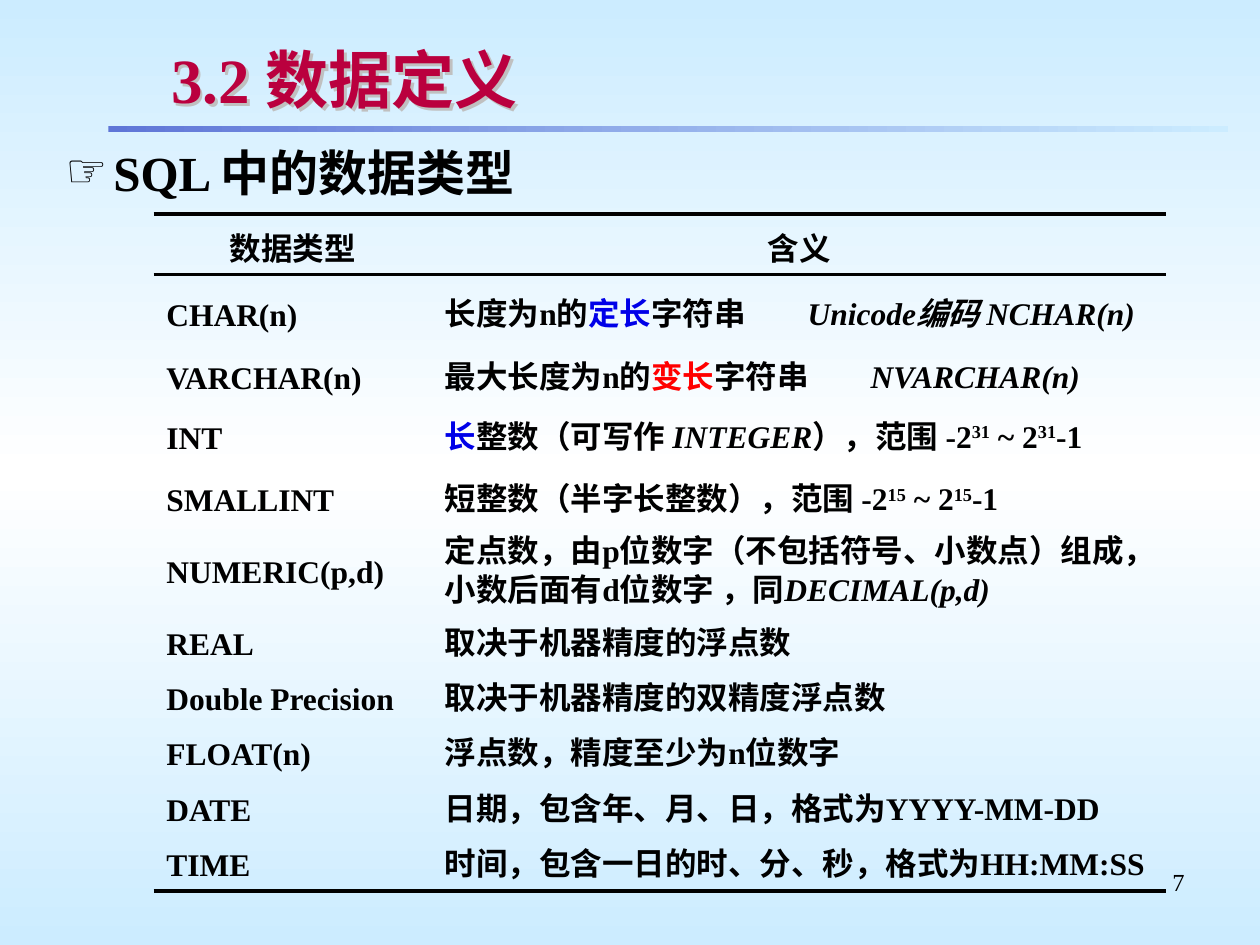
from copy import deepcopy
from lxml import etree
from pptx import Presentation
from pptx import util as u
from pptx.dml.color import RGBColor
from pptx.enum import shapes, text
from pptx.oxml.ns import qn

FONT = "Times New Roman"
HUES = {"ink": "000000", "title": "BA003E", "blue": "0000E8", "red": "FF0000",
        "sky": "CCECFF", "white": "FFFFFF", "rule": "5F76D7", "shade": "C0C0C0"}


def style(para, size, hue="ink", bold=True):
    font = para.font
    font.name, font.size, font.bold = FONT, u.Pt(size), bold
    font.color.rgb = RGBColor.from_string(HUES[hue])


def shade(fill, root, hues, angle):
    fill.gradient()
    fill.gradient_angle = angle
    stops = root.find(".//" + qn("a:gsLst"))
    while len(stops) < len(hues):
        stops.append(deepcopy(stops[0]))
    for i, (stop, hue) in enumerate(zip(fill.gradient_stops, hues)):
        stop.position = i / (len(hues) - 1)
        stop.color.rgb = RGBColor.from_string(HUES[hue])


deck = Presentation()
deck.slide_width, deck.slide_height = u.Inches(10), u.Inches(7.5)
slide = deck.slides.add_slide(deck.slide_layouts[1])
shade(slide.background.fill, slide.element, ["sky", "white", "sky"], 90)

rule = slide.shapes.add_shape(shapes.MSO_SHAPE.RECTANGLE, u.Inches(0.86),
                              u.Inches(1), u.Inches(8.89), u.Inches(0.05))
rule.shadow.inherit = False
rule.line.fill.background()
shade(rule.fill, rule.element, ["rule", "sky"], 0)

title = slide.shapes.title
title.left, title.top = u.Inches(1.26), u.Inches(0.29)
title.width, title.height = u.Inches(8.24), u.Inches(0.67)
title.fill.background()
glow = etree.SubElement(title.element.spPr, qn("a:effectLst"))
cast = etree.SubElement(glow, qn("a:outerShdw"), dist=str(u.Pt(2)),
                        dir="2700000", algn="ctr", rotWithShape="0")
etree.SubElement(cast, qn("a:srgbClr"), val=HUES["shade"])
frame = title.text_frame
frame.text = "3.2 数据定义"
frame.auto_size = text.MSO_AUTO_SIZE.NONE
frame.vertical_anchor = text.MSO_ANCHOR.MIDDLE
frame.margin_top = frame.margin_bottom = u.Inches(0.04)
para = frame.paragraphs[0]
para.alignment = text.PP_ALIGN.LEFT
style(para, 36, "title")

body = slide.placeholders[1]
body.left, body.top = u.Inches(0.42), u.Inches(1.08)
body.width, body.height = u.Inches(9.25), u.Inches(6)
body.text_frame.text = "SQL 中的数据类型"
body.text_frame.auto_size = text.MSO_AUTO_SIZE.NONE
para = body.text_frame.paragraphs[0]
props = para._p.get_or_add_pPr()
props.set("marL", str(u.Inches(0.38)))
props.set("indent", str(u.Inches(-0.38)))
etree.SubElement(props, qn("a:buSzPct"), val="95000")
etree.SubElement(props, qn("a:buChar"), char="☞")
para.space_before = u.Pt(0)
style(para, 28)

page = slide.shapes.add_textbox(u.Inches(7.17), u.Inches(6.83),
                                u.Inches(2.33), u.Inches(0.52))
page.text_frame.word_wrap = True
para = page.text_frame.paragraphs[0]
para.text = "7"
para.alignment = text.PP_ALIGN.RIGHT
style(para, 14, bold=False)

rows = [
    (0.48, "数据类型", [("含义", "")]),
    (0.62, "CHAR(n)", [("长度为n的", ""), ("定长", "blue"), ("字符串\t", ""),
                       ("Unicode编码 NCHAR(n)", "slant")]),
    (0.39, "VARCHAR(n)", [("最大长度为n的", ""), ("变长", "red"),
                          ("字符串\t", ""), ("NVARCHAR(n)", "slant")]),
    (0.55, "INT", [("长", "blue"), ("整数（可写作 ", ""), ("INTEGER", "slant"),
                   ("），范围 -2", ""), ("31", "power"), (" ~ 2", ""),
                   ("31", "power"), ("-1", "")]),
    (0.44, "SMALLINT", [("短整数（半字长整数），范围 -2", ""), ("15", "power"),
                        (" ~ 2", ""), ("15", "power"), ("-1", "")]),
    (0.70, "NUMERIC(p,d)",
     [("定点数，由p位数字（不包括符号、小数点）组成，小数后面有d位数字 ，同", ""),
      ("DECIMAL(p,d)", "slant")]),
    (0.44, "REAL", [("取决于机器精度的浮点数", "")]),
    (0.44, "Double Precision", [("取决于机器精度的双精度浮点数", "")]),
    (0.44, "FLOAT(n)", [("浮点数，精度至少为n位数字", "")]),
    (0.44, "DATE", [("日期，包含年、月、日，格式为YYYY-MM-DD", "")]),
    (0.43, "TIME", [("时间，包含一日的时、分、秒，格式为HH:MM:SS", "")]),
]
tabs = {"CHAR(n)": 3.15, "VARCHAR(n)": 3.65}

grid = slide.shapes.add_table(len(rows), 2, u.Inches(1.22), u.Inches(1.7),
                              u.Inches(8.04), u.Inches(5.37)).table
grid.first_row = grid.horz_banding = False
grid._tbl.tblPr.find(qn("a:tableStyleId")).text = \
    "{2D5ABB26-0587-4C30-8999-92F81FD0307C}"
grid.columns[0].width, grid.columns[1].width = u.Inches(2.21), u.Inches(5.83)

for i, (height, name, sense) in enumerate(rows):
    grid.rows[i].height = u.Inches(height)
    for j, runs in enumerate([[(name, "")], sense]):
        cell = grid.cell(i, j)
        cell.fill.background()
        cell.vertical_anchor = text.MSO_ANCHOR.MIDDLE
        cell.margin_top = cell.margin_bottom = 0
        para = cell.text_frame.paragraphs[0]
        if i == 0:
            para.alignment = text.PP_ALIGN.CENTER
        if i == 0 or j == 0:
            cell.margin_top = u.Inches(0.03)
        else:
            para.line_spacing = 0.85
        if j == 1 and name == "NUMERIC(p,d)":
            cell.margin_right = u.Inches(0.3)
        if j == 1 and name in tabs:
            props = para._p.get_or_add_pPr()
            props.set("marL", str(u.Inches(0.38)))
            props.set("indent", str(u.Inches(-0.38)))
            stops = etree.SubElement(props, qn("a:tabLst"))
            etree.SubElement(stops, qn("a:tab"), algn="l",
                             pos=str(u.Inches(tabs[name])))
        style(para, 18)
        for words, look in runs:
            run = para.add_run()
            run.text = words
            if look in HUES:
                run.font.color.rgb = RGBColor.from_string(HUES[look])
            elif look == "slant":
                run.font.italic = True
            elif look == "power":
                run._r.get_or_add_rPr().set("baseline", "30000")

for y, width in [(1.7, 2.25), (7.07, 2.25), (2.18, 1.5)]:
    line = slide.shapes.add_connector(shapes.MSO_CONNECTOR.STRAIGHT,
                                      u.Inches(1.22), u.Inches(y),
                                      u.Inches(9.25), u.Inches(y))
    line.line.width = u.Pt(width)
    line.line.color.rgb = RGBColor.from_string(HUES["ink"])
    etree.SubElement(line._element.spPr, qn("a:effectLst"))

deck.save("out.pptx")
